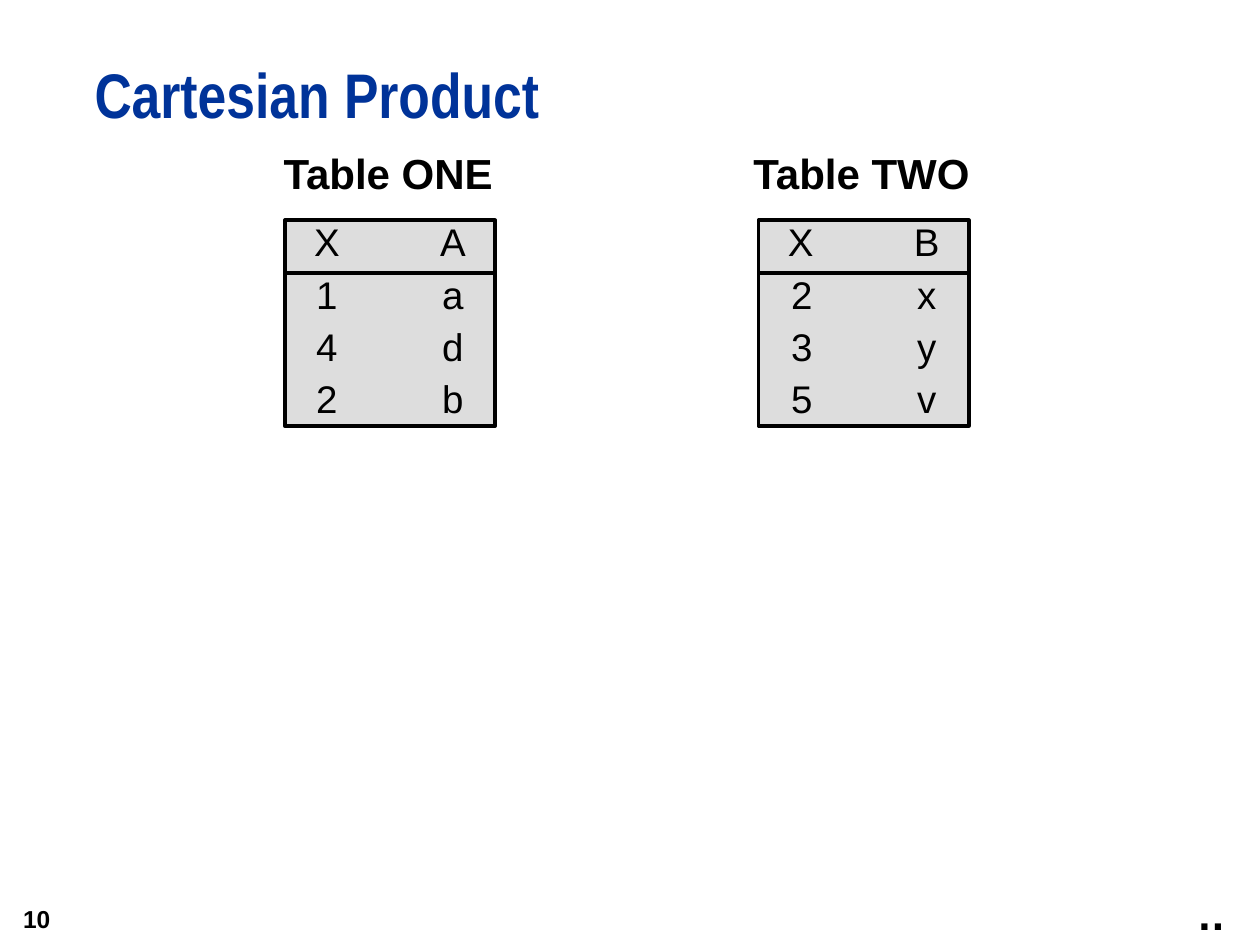
from lxml import etree
from pptx import Presentation
from pptx.dml.color import RGBColor
from pptx.enum.shapes import MSO_CONNECTOR as Connector, MSO_SHAPE as Shape
from pptx.enum.text import MSO_ANCHOR as Anchor, MSO_AUTO_SIZE as AutoSize, PP_ALIGN as Align
from pptx.oxml.ns import qn
from pptx.util import Inches, Pt

# Content: caption, caption left and width, table left, rows
TITLE = "Cartesian Product"
TABLES = [
    ("Table ONE", 2.25, 1.69, 2.26, [("X", "A"), ("1", "a"), ("4", "d"), ("2", "b")]),
    ("Table TWO", 5.98, 1.74, 6.02, [("X", "B"), ("2", "x"), ("3", "y"), ("5", "v")]),
]
PAGE, DOTS = "10", "..."

NAVY = RGBColor(0x00, 0x33, 0x99)
BLACK = RGBColor(0, 0, 0)
GRAY = RGBColor(0xDD, 0xDD, 0xDD)

# Table frame, in inches
TABLE_TOP, TABLE_W, TABLE_H, HEADER_H = 1.75, 1.67, 1.63, 0.42
BORDER = Pt(2.25)
TAB_STOPS = range(8)  # one per inch


def style(p, size, font="Arial", color=BLACK, bold=False):
    for r in p.runs:
        f = r.font
        f.size, f.name, f.bold = Pt(size), font, bold
        f.color.rgb = color


def set_margins(tf, left=0, top=0, right=0, bottom=0):
    tf.margin_left, tf.margin_right = Inches(left), Inches(right)
    tf.margin_top, tf.margin_bottom = Inches(top), Inches(bottom)


def add_tab_stops(p):
    tabs = etree.SubElement(p._p.get_or_add_pPr(), qn("a:tabLst"))
    for stop in TAB_STOPS:
        etree.SubElement(tabs, qn("a:tab"), pos=str(Inches(stop)), algn="l")


def add_label(slide, text, x, y, w, h, size, font="Arial", margins=(), wrap=False):
    tf = slide.shapes.add_textbox(Inches(x), Inches(y), Inches(w), Inches(h)).text_frame
    set_margins(tf, *margins)
    tf.word_wrap = wrap
    tf.auto_size = AutoSize.NONE if wrap else AutoSize.SHAPE_TO_FIT_TEXT
    tf.text = text
    style(tf.paragraphs[0], size, font, bold=True)
    return tf


def add_relation(slide, x, rows):
    # Framed block with one tabbed paragraph per row
    sp = slide.shapes.add_shape(
        Shape.RECTANGLE, Inches(x), Inches(TABLE_TOP), Inches(TABLE_W), Inches(TABLE_H))
    sp.shadow.inherit = False
    sp.fill.solid()
    sp.fill.fore_color.rgb = GRAY
    sp.line.color.rgb, sp.line.width = BLACK, BORDER
    tf = sp.text_frame
    set_margins(tf, 0.1, 0.05, 0.1, 0.05)
    tf.vertical_anchor = Anchor.TOP
    tf.text = "\n".join("\t".join(row) for row in rows)
    for i, p in enumerate(tf.paragraphs):
        p.alignment = Align.CENTER
        p.line_spacing = 0.6 if i else 0.8
        p.space_before = Pt(13.8 if i else 0)
        add_tab_stops(p)
        style(p, 22)

    # Rule under the header
    y = Inches(TABLE_TOP + HEADER_H)
    rule = slide.shapes.add_connector(
        Connector.STRAIGHT, Inches(x), y, Inches(x + TABLE_W), y)
    rule.line.color.rgb, rule.line.width = BLACK, BORDER
    etree.SubElement(rule._element.spPr, qn("a:effectLst"))


prs = Presentation()
prs.slide_width, prs.slide_height = Inches(10), Inches(7.5)
slide = prs.slides.add_slide(prs.slide_layouts[5])

# Title
title = slide.shapes.title
title.left, title.top = Inches(0.75), Inches(0.5)
title.width, title.height = Inches(9.25), Inches(0.75)
tf = title.text_frame
tf.text = TITLE
set_margins(tf)
tf.vertical_anchor = Anchor.TOP
p = tf.paragraphs[0]
p.alignment, p.line_spacing = Align.LEFT, Pt(39)
style(p, 36, "Arial Narrow", NAVY, True)

# Tables with their captions
for caption, caption_x, caption_w, table_x, rows in TABLES:
    add_relation(slide, table_x, rows)
    add_label(slide, caption, caption_x, 1.17, caption_w, 0.4, 24)

# Footer
add_label(slide, DOTS, 9.41, 7.06, 0.44, 0.44, 20, "DejaVu Sans", (0.1, 0.05, 0.1, 0.05))
tf = add_label(slide, PAGE, 0, 7.08, 0.58, 0.42, 14, margins=(0.1, 0.05, 0.18, 0.05), wrap=True)
tf.vertical_anchor = Anchor.MIDDLE
tf.paragraphs[0].alignment = Align.RIGHT

prs.save("out.pptx")
